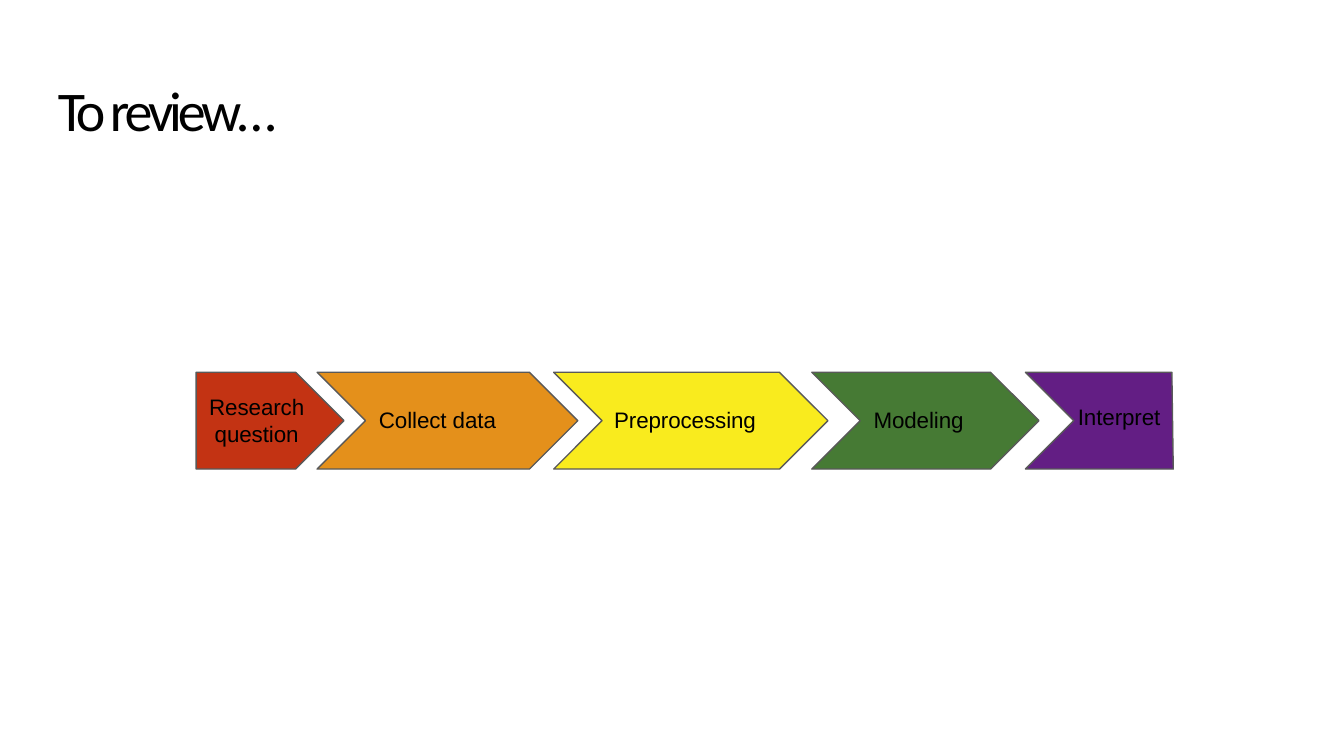
"""Build a review slide with a five-step process band."""
from pptx import Presentation
from pptx.dml.color import RGBColor
from pptx.enum.text import PP_ALIGN
from pptx.util import Inches, Pt

COLORS = {
    "red": "C33313", "orange": "E4901B", "yellow": "F9EB1E",
    "green": "467A34", "purple": "631E84", "line": "595959", "text": "000000",
}
TITLE = ("To review…", (0.42, 0.55, 3.58, 0.52))
STEPS = [
    ("Research question", "red", 1.46, 2.56, (1.54, 2.91, 0.74, 0.43)),
    ("Collect data", "orange", 2.36, 4.30, (2.81, 3.01, 0.91, 0.22)),
    ("Preprocessing", "yellow", 4.12, 6.16, (4.56, 3.01, 1.09, 0.22)),
    ("Modeling", "green", 6.04, 7.73, (6.49, 3.01, 0.70, 0.22)),
    ("Interpret", "purple", 7.63, 8.73, (8.01, 2.99, 0.65, 0.22)),
]
TOP, BASE, POINT = 2.77, 3.49, 0.36
MID = (TOP + BASE) / 2


def color(name):
    return RGBColor.from_string(COLORS[name])


def add_text(slide, text, box, font="Arial", size=12, gap=-0.05,
             indent=0.01, lead=None, align=PP_ALIGN.LEFT):
    frame = slide.shapes.add_textbox(*map(Inches, box)).text_frame
    frame.word_wrap = True
    frame.margin_right = frame.margin_bottom = 0
    frame.margin_left = Inches(indent)
    frame.margin_top = Inches(0.02 if lead else 0.01)
    para = frame.paragraphs[0]
    para.alignment = align
    if lead:
        para.line_spacing = Pt(lead)
    run = para.add_run()
    run.text = text
    run.font.name = font
    run.font.size = Pt(size)
    run.font.color.rgb = color("text")
    run._r.get_or_add_rPr().set("spc", str(round(gap * 100)))


def add_step(slide, fill, left, right, first, last):
    points = [(left, TOP)]
    if last:
        points += [(right - 0.01, TOP), (right, BASE)]
    else:
        points += [(right - POINT, TOP), (right, MID), (right - POINT, BASE)]
    points.append((left, BASE))
    if not first:
        points.append((left + POINT, MID))
    points = [(Inches(x), Inches(y)) for x, y in points]
    path = slide.shapes.build_freeform(*points[0])
    path.add_line_segments(points[1:], close=True)
    shape = path.convert_to_shape()
    shape.shadow.inherit = False
    shape.fill.solid()
    shape.fill.fore_color.rgb = color(fill)
    shape.line.color.rgb = color("line")
    shape.line.width = Pt(0.75)


def main():
    deck = Presentation()
    deck.slide_width, deck.slide_height = Inches(10), Inches(10 * 9 / 16)
    slide = deck.slides.add_slide(deck.slide_layouts[6])
    add_text(slide, *TITLE, font="Calibri", size=30, gap=-2.2)
    for i, (label, fill, left, right, box) in enumerate(STEPS):
        first = i == 0
        add_step(slide, fill, left, right, first, i == len(STEPS) - 1)
        style = {"indent": 0, "lead": 14.3, "align": PP_ALIGN.CENTER} if first else {}
        add_text(slide, label, box, **style)
    deck.save("out.pptx")


if __name__ == "__main__":
    main()
